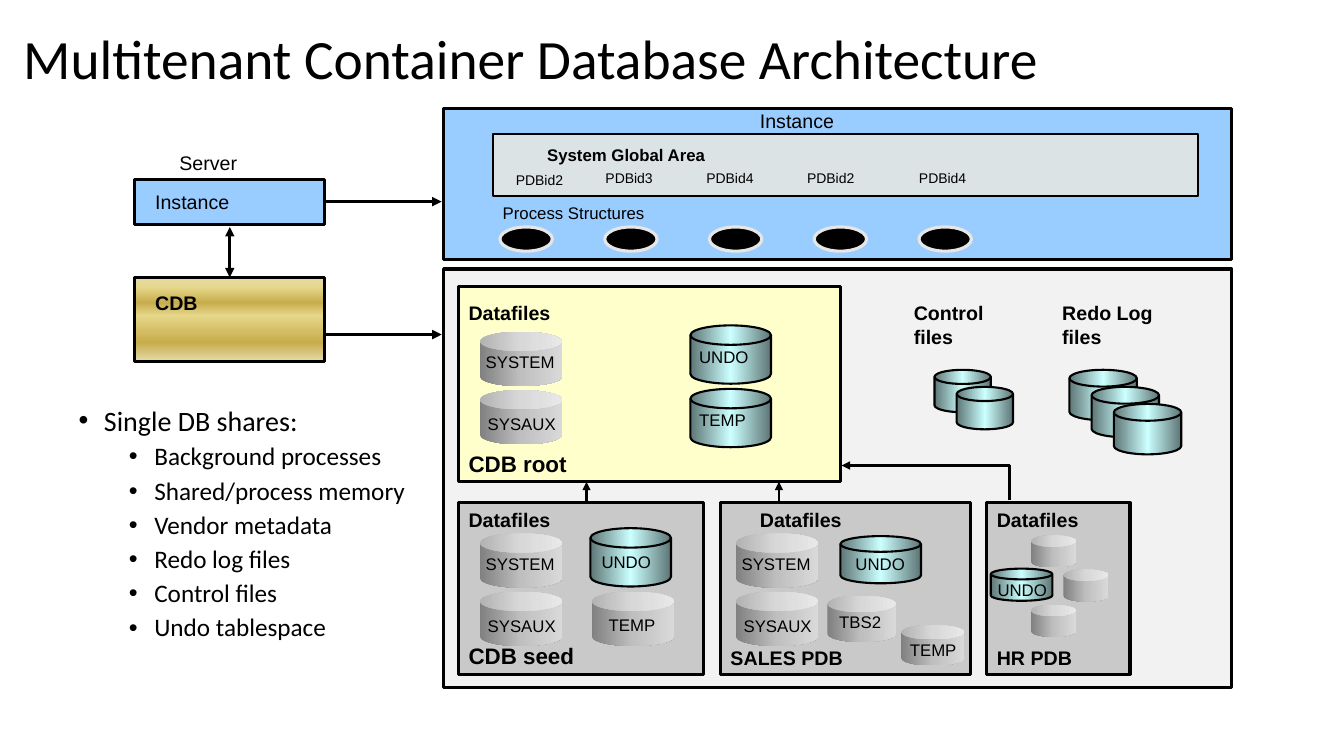
from lxml.etree import SubElement
from pptx import Presentation
from pptx.dml.color import RGBColor
from pptx.enum.shapes import MSO_CONNECTOR, MSO_SHAPE as SHAPE
from pptx.enum.text import MSO_ANCHOR as ANCHOR, MSO_AUTO_SIZE, PP_ALIGN
from pptx.oxml.ns import qn
from pptx.util import Cm, Pt

BLACK = RGBColor(0x00, 0x00, 0x00)
PALE_GRAY = RGBColor(0xF2, 0xF2, 0xF2)
MID_GRAY = RGBColor(0xC9, 0xC9, 0xC9)
RIM_GRAY = RGBColor(0xE7, 0xE6, 0xE6)
SGA_GRAY = RGBColor(0xDC, 0xE3, 0xE4)
BLUE = RGBColor(0x99, 0xCC, 0xFF)
YELLOW = RGBColor(0xFF, 0xFF, 0xCC)
DARK_TEAL = RGBColor(0x5E, 0x76, 0x76)
LIGHT_TEAL = RGBColor(0xCC, 0xFF, 0xFF)
DARK_SILVER = RGBColor(0x80, 0x80, 0x80)
SILVER = RGBColor(0xBF, 0xBF, 0xBF)
LIGHT_SILVER = RGBColor(0xD9, 0xD9, 0xD9)
PALE_GOLD = RGBColor(0xE6, 0xDC, 0xAC)
LIGHT_GOLD = RGBColor(0xE6, 0xD7, 0x8A)
DARK_GOLD = RGBColor(0xC7, 0xAC, 0x4C)
TEAL_STOPS = [(0, DARK_TEAL), (50, LIGHT_TEAL), (100, DARK_TEAL)]
SILVER_STOPS = [(0, DARK_SILVER), (50, SILVER), (100, LIGHT_SILVER)]
GOLD_STOPS = [(0, PALE_GOLD), (12, LIGHT_GOLD), (30, DARK_GOLD),
              (45, LIGHT_GOLD), (77, DARK_GOLD), (100, PALE_GOLD)]

presentation = Presentation()
presentation.slide_width = Cm(33.87)
presentation.slide_height = Cm(19.05)
slide = presentation.slides.add_slide(presentation.slide_layouts[5])


def add_shape(kind, place, fill, line=BLACK, weight=2.25, angle=0):
    shape = slide.shapes.add_shape(kind, *[Cm(length) for length in place])
    shape.shadow.inherit = False
    if isinstance(fill, list):
        shape.fill.gradient()
        shape.fill.gradient_angle = angle
        stops = shape._element.spPr.find(".//" + qn("a:gsLst"))
        for stop in list(stops):
            stops.remove(stop)
        for position, color in fill:
            stop = SubElement(stops, qn("a:gs"), pos=str(position * 1000))
            SubElement(stop, qn("a:srgbClr"), val=str(color))
    else:
        shape.fill.solid()
        shape.fill.fore_color.rgb = fill
    if line is None:
        shape.line.fill.background()
    else:
        shape.line.color.rgb = line
        shape.line.width = Pt(weight)
    return shape


def write_text(shape, lines, size, bold=False, spacing=1.0, anchor=ANCHOR.TOP, font="Arial"):
    frame = shape.text_frame
    frame.word_wrap = True
    frame.auto_size = MSO_AUTO_SIZE.NONE
    frame.vertical_anchor = anchor
    for index, line in enumerate(lines):
        paragraph = frame.paragraphs[0] if index == 0 else frame.add_paragraph()
        paragraph.alignment = PP_ALIGN.LEFT
        paragraph.line_spacing = spacing
        run = paragraph.add_run()
        run.text = line
        run.font.name = font
        run.font.size = Pt(size)
        run.font.bold = bold
        run.font.color.rgb = BLACK


title = slide.shapes.title
title.left, title.top, title.width, title.height = Cm(0.33), Cm(1.02), Cm(31.19), Cm(1.04)
write_text(title, ["Multitenant Container Database Architecture"], 39.6,
           spacing=0.9, anchor=ANCHOR.MIDDLE, font="Calibri")

shared = slide.shapes.add_textbox(Cm(1.73), Cm(10.13), Cm(30.4), Cm(7.49))
write_text(shared, ["Single DB shares:", "Background processes", "Shared/process memory",
                    "Vendor metadata", "Redo log files", "Control files", "Undo tablespace"],
           18, spacing=0.9, font="Calibri")
for index, paragraph in enumerate(shared.text_frame.paragraphs):
    paragraph.space_before = Pt(5 if index else 10)
    paragraph.level = 1 if index else 0
    properties = paragraph._p.get_or_add_pPr()
    properties.set("marL", str(Cm(1.91 if index else 0.64)))
    properties.set("indent", str(-Cm(0.64)))
    SubElement(properties, qn("a:buFont"), typeface="Arial")
    SubElement(properties, qn("a:buChar"), char="•")
shared.text_frame.paragraphs[0].runs[0].font.size = Pt(20)

add_shape(SHAPE.RECTANGLE, (11.18, 6.78, 19.86, 10.54), PALE_GRAY)
add_shape(SHAPE.RECTANGLE, (11.18, 2.74, 19.86, 3.81), BLUE)
add_shape(SHAPE.RECTANGLE, (12.42, 3.38, 17.78, 1.55), SGA_GRAY, weight=1.5)
add_shape(SHAPE.RECTANGLE, (3.38, 4.52, 4.8, 1.14), BLUE)
add_shape(SHAPE.RECTANGLE, (3.38, 6.99, 4.8, 2.13), GOLD_STOPS, angle=270)

for name, size, place, fill in [
    ("CDB root", 16, (11.56, 7.21, 9.63, 4.93), YELLOW),
    ("CDB seed", 16, (11.56, 12.67, 6.17, 4.32), MID_GRAY),
    ("SALES PDB", 14, (18.16, 12.67, 6.3, 4.32), MID_GRAY),
    ("HR PDB", 14, (24.87, 12.67, 3.61, 4.32), MID_GRAY),
]:
    container = add_shape(SHAPE.RECTANGLE, place, fill)
    write_text(container, [name], size, True, 0.85, ANCHOR.BOTTOM)

for index in range(5):
    add_shape(SHAPE.OVAL, (12.6 + 2.64 * index, 5.72, 1.32, 0.61), BLACK, RIM_GRAY)

cans = [(14.91, 14.91, 2.08, 1.37), (20.85, 15.01, 1.73, 1.17), (22.71, 15.75, 1.6, 1.02),
        (25.98, 13.49, 1.14, 0.81), (25.98, 15.24, 1.14, 0.81), (26.8, 14.35, 1.14, 0.81)]
small_labels = [("UNDO", 17.37, 8.61), ("TEMP", 17.37, 10.21), ("UNDO", 14.91, 13.79),
                ("UNDO", 21.31, 13.84), ("UNDO", 24.89, 14.48), ("TEMP", 15.09, 15.37),
                ("TBS2", 20.9, 15.29), ("TEMP", 22.68, 16)]
for left, top in [(12.09, 8.36), (12.09, 13.44), (18.54, 13.44)]:
    cans += [(left, top, 2.08, 1.37), (left, top + 1.47, 2.08, 1.37)]
    small_labels += [("SYSTEM", left - 0.1, top + 0.38), ("SYSAUX", left - 0.05, top + 1.94)]
for place in cans:
    can = add_shape(SHAPE.CAN, place, SILVER_STOPS, None)
    can.adjustments[0] = 0.356

disks = [(17.4, 8.2, 2.03, 1.47), (17.4, 9.8, 2.03, 1.47), (14.88, 13.31, 2.03, 1.47),
         (21.18, 13.51, 2.03, 1.19), (24.97, 14.33, 1.55, 0.81)]
for count, left, width, height in [(2, 23.55, 1.42, 1.07), (3, 26.95, 1.7, 1.27)]:
    disks += [(left + 0.56 * step, 9.32 + 0.43 * step, width, height) for step in range(count)]
for place in disks:
    add_shape(SHAPE.FLOWCHART_MAGNETIC_DISK, place, TEAL_STOPS, weight=1.5)

for ends, weight, arrowheads in [
    ((8.18, 5.08, 11.13, 5.08), 2.25, ["tailEnd"]),
    ((8.18, 8.43, 11.13, 8.43), 2.25, ["tailEnd"]),
    ((5.79, 5.72, 5.79, 6.99), 2.25, ["headEnd", "tailEnd"]),
    ((14.78, 12.65, 14.78, 12.14), 2, ["tailEnd"]),
    ((19.63, 12.65, 19.63, 12.14), 2, ["tailEnd"]),
    ((21.21, 11.73, 25.45, 11.73), 2, ["headEnd"]),
    ((25.45, 12.6, 25.45, 11.71), 2, []),
]:
    connector = slide.shapes.add_connector(MSO_CONNECTOR.STRAIGHT, *[Cm(end) for end in ends])
    connector.line.color.rgb = BLACK
    connector.line.width = Pt(weight)
    for arrowhead in arrowheads:
        SubElement(connector.line._get_or_add_ln(), qn("a:" + arrowhead), type="triangle")
    SubElement(connector._element.spPr, qn("a:effectLst"))

labels = [
    (["Instance"], (18.9, 2.74, 4.8, 0.74), 14, False, 0.8),
    (["System Global Area"], (13.54, 3.61, 12.14, 0.66), 12, True, 0.8),
    (["Process Structures"], (12.42, 5.08, 8.46, 0.66), 12, False, 0.8),
    (["Server"], (4.27, 3.68, 4.01, 0.86), 14, False, 1.0),
    (["Instance"], (3.66, 4.78, 4.52, 0.74), 14, False, 0.8),
    (["CDB"], (3.66, 7.32, 4.52, 0.74), 14, True, 0.8),
    (["Control", "files"], (22.78, 7.47, 3.53, 1.45), 14, True, 1.0),
    (["Redo Log", "files"], (26.52, 7.47, 4.06, 1.45), 14, True, 1.0),
]
for left, top in [(11.56, 7.47), (11.56, 12.67), (18.9, 12.67), (24.87, 12.67)]:
    labels.append((["Datafiles"], (left, top, 4, 0.86), 14, True, 1.0))
for name, left, top in [("PDBid2", 12.75, 4.27), ("PDBid3", 15.01, 4.24), ("PDBid4", 17.55, 4.24),
                        ("PDBid2", 20.09, 4.24), ("PDBid4", 22.91, 4.24)]:
    labels.append(([name], (left, top, 2.82, 0.61), 10, False, 0.8))
for name, left, top in small_labels:
    labels.append(([name], (left, top, 2.29, 0.76), 12, False, 1.0))
for lines, place, size, bold, spacing in labels:
    label = slide.shapes.add_textbox(*[Cm(length) for length in place])
    write_text(label, lines, size, bold, spacing)

presentation.save("out.pptx")
